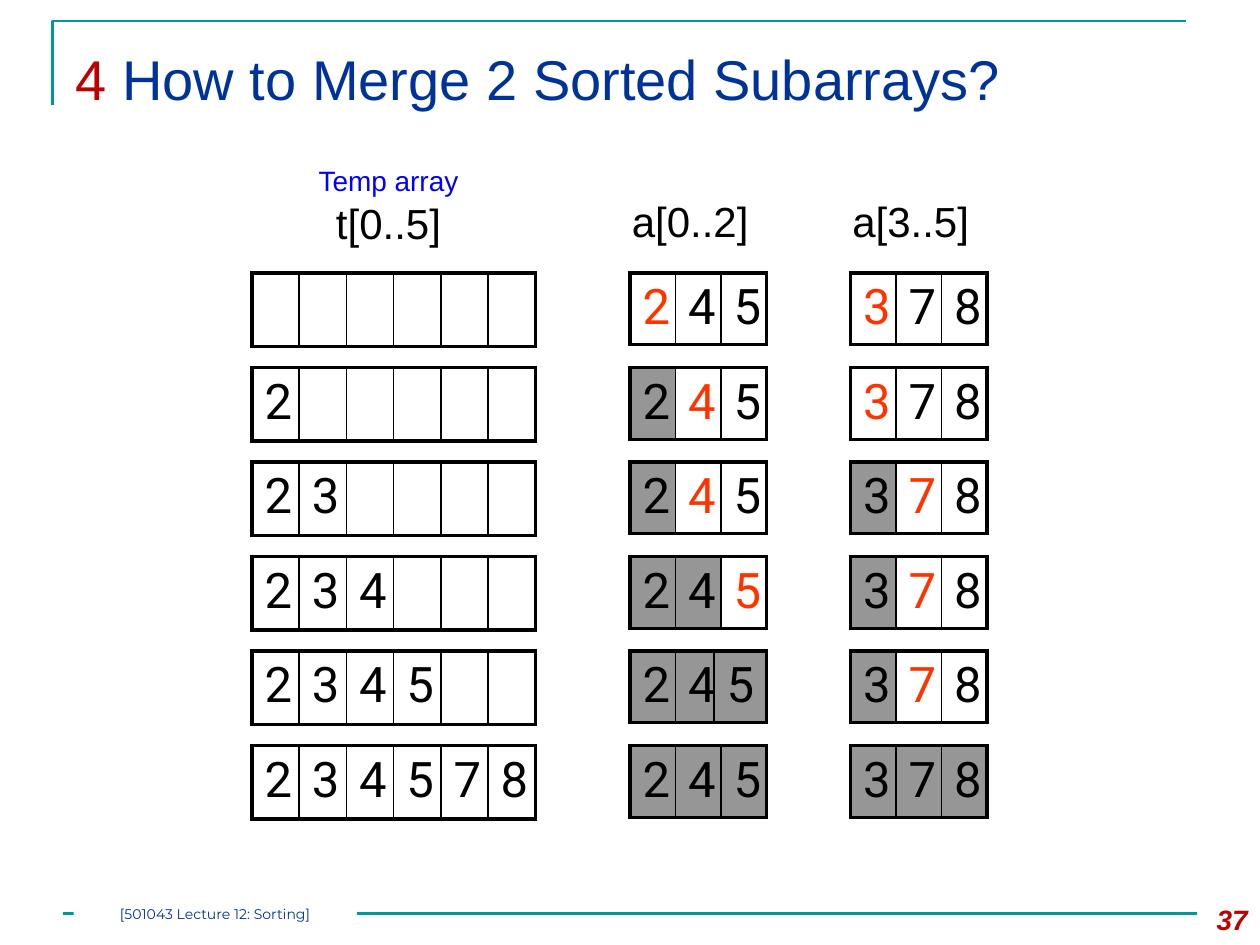
from dataclasses import dataclass

from pptx import Presentation
from pptx.dml.color import RGBColor as RGB
from pptx.enum.shapes import MSO_CONNECTOR as Connector, MSO_SHAPE as Shape
from pptx.enum.text import MSO_ANCHOR as Anchor, PP_ALIGN as Align
from pptx.oxml import parse_xml
from pptx.oxml.ns import nsdecls
from pptx.oxml.xmlchemy import OxmlElement
from pptx.util import Pt


@dataclass(frozen=True)
class Theme:
    black: str = "000000"
    white: str = "FFFFFF"
    teal: str = "009999"
    navy: str = "003399"
    blue: str = "0000FF"
    crimson: str = "C00000"
    active: str = "FF3300"
    used: str = "969696"
    sans: str = "Arial"
    digits: str = "Roboto"
    footer: str = "Montserrat"
    title_size: int = 32
    digit_size: int = 28
    label_size: int = 24
    note_size: int = 16
    footer_size: int = 8
    rule: float = 1.5
    outer: float = 2.25
    inner: float = 1


THEME = Theme()


def add_run(paragraph, text, *, size, color=THEME.black, font=THEME.sans,
            bold=False, italic=False, align=None):
    """Append formatted text to a paragraph."""
    if align is not None:
        paragraph.alignment = align
    run = paragraph.add_run()
    run.text = text
    run.font.size = Pt(size)
    run.font.name = font
    run.font.bold = bold
    run.font.italic = italic
    run.font.color.rgb = RGB.from_string(color)


class SlideBuilder:
    """Holds the theme and the current slide; all lengths are points."""

    def __init__(self, slide, theme):
        self.slide = slide
        self.theme = theme

    def bracket(self, points):
        builder = self.slide.shapes.build_freeform(*points[0], scale=Pt(1))
        builder.add_line_segments(points[1:], close=False)
        shape = builder.convert_to_shape()
        shape.shadow.inherit = False
        shape.fill.background()
        self.stroke(shape)

    def rule(self, left, right, y):
        line = self.slide.shapes.add_connector(
            Connector.STRAIGHT, Pt(left), Pt(y), Pt(right), Pt(y))
        line._element.spPr.append(OxmlElement("a:effectLst"))
        self.stroke(line)

    def stroke(self, shape):
        shape.line.color.rgb = RGB.from_string(self.theme.teal)
        shape.line.width = Pt(self.theme.rule)

    def title(self, number, text, box):
        title = self.slide.shapes.title
        title.left, title.top, title.width, title.height = map(Pt, box)
        frame = title.text_frame
        frame.vertical_anchor = Anchor.TOP
        frame.margin_top = Pt(7.2)
        paragraph = frame.paragraphs[0]
        size = self.theme.title_size
        add_run(paragraph, number, size=size, color=self.theme.crimson, align=Align.LEFT)
        add_run(paragraph, text, size=size, color=self.theme.navy)

    def text(self, box, lines, wrap=False, anchor=Anchor.TOP):
        """Each line is a pair of text and its format."""
        frame = self.slide.shapes.add_textbox(*map(Pt, box)).text_frame
        frame.word_wrap = wrap
        frame.vertical_anchor = anchor
        for index, (text, style) in enumerate(lines):
            paragraph = frame.add_paragraph() if index else frame.paragraphs[0]
            add_run(paragraph, text, **style)

    def footer(self, box, text):
        shape = self.slide.shapes.add_shape(Shape.RECTANGLE, *map(Pt, box))
        shape.shadow.inherit = False
        shape.fill.solid()
        shape.fill.fore_color.rgb = RGB.from_string(self.theme.white)
        shape.line.fill.background()
        frame = shape.text_frame
        frame.margin_left = frame.margin_top = frame.margin_right = frame.margin_bottom = 0
        frame.vertical_anchor = Anchor.MIDDLE
        add_run(frame.paragraphs[0], text, size=self.theme.footer_size,
                color=self.theme.navy, font=self.theme.footer, align=Align.CENTER)

    def array(self, left, top, height, widths, values, align, taken=None):
        """Draw a one-row array; cells before taken are used, the next is active."""
        frame = self.slide.shapes.add_table(
            1, len(widths), Pt(left), Pt(top), Pt(sum(widths)), Pt(height))
        table = frame.table
        table.first_row = table.horz_banding = False
        last = len(widths) - 1
        for index, width in enumerate(widths):
            table.columns[index].width = Pt(width)
            cell = table.cell(0, index)
            if taken is not None and index < taken:
                cell.fill.solid()
                cell.fill.fore_color.rgb = RGB.from_string(self.theme.used)
            else:
                cell.fill.background()
            self.borders(cell, index == 0, index == last)
            if index < len(values):
                color = self.theme.active if index == taken else self.theme.black
                add_run(cell.text_frame.paragraphs[0], str(values[index]), color=color,
                        size=self.theme.digit_size, font=self.theme.digits, align=align)

    def borders(self, cell, is_first, is_last):
        outer, inner = self.theme.outer, self.theme.inner
        sides = {"L": outer if is_first else inner, "R": outer if is_last else inner,
                 "T": outer, "B": outer}
        properties = cell._tc.get_or_add_tcPr()
        for position, (side, width) in enumerate(sides.items()):
            properties.insert(position, parse_xml(
                f'<a:ln{side} {nsdecls("a")} w="{Pt(width)}"><a:solidFill>'
                f'<a:srgbClr val="{self.theme.black}"/></a:solidFill></a:ln{side}>'))


def main():
    presentation = Presentation()
    presentation.slide_width, presentation.slide_height = Pt(720), Pt(540)
    slide = presentation.slides.add_slide(presentation.slide_layouts[5])
    builder = SlideBuilder(slide, THEME)

    # Frame and title
    builder.bracket([(30, 60), (30, 12), (678, 12)])
    builder.rule(36, 684, 522)
    builder.title("4 ", "How to Merge 2 Sorted Subarrays?", (36, 18, 660, 72))

    # Column labels
    label = {"size": THEME.label_size}
    builder.text((174, 90, 96, 55), [
        ("Temp array", {"size": THEME.note_size, "color": THEME.blue, "align": Align.CENTER}),
        ("t[0..5]", {**label, "align": Align.CENTER})])
    builder.text((354, 108, 86, 36), [("a[0..2]", label)])
    builder.text((480, 108, 86, 36), [("a[3..5]", label)])

    # Merge steps: how many values each subarray has given so far
    first, second = [2, 4, 5], [3, 7, 8]
    merged = sorted(first + second)
    steps = [(0, 0), (1, 0), (1, 1), (2, 1), (3, 1), (3, 3)]
    even = [26] * 3
    for index, (from_first, from_second) in enumerate(steps):
        top = 156 + 54 * index
        first_widths = [26, 22, 30] if index == 4 else even
        builder.array(144, top, 42, [27] * 6, merged[:from_first + from_second], Align.LEFT)
        builder.array(360, top, 41, first_widths, first, Align.CENTER, from_first)
        builder.array(486, top, 41, even, second, Align.CENTER, from_second)

    # Footer and page number
    builder.footer((42, 516, 162, 12), "[501043 Lecture 12: Sorting]")
    builder.text((672, 511, 48, 29), [
        ("37", {"size": THEME.note_size, "color": THEME.crimson, "bold": True,
                "italic": True, "align": Align.RIGHT})], wrap=True, anchor=Anchor.MIDDLE)

    presentation.save("out.pptx")


if __name__ == "__main__":
    main()
